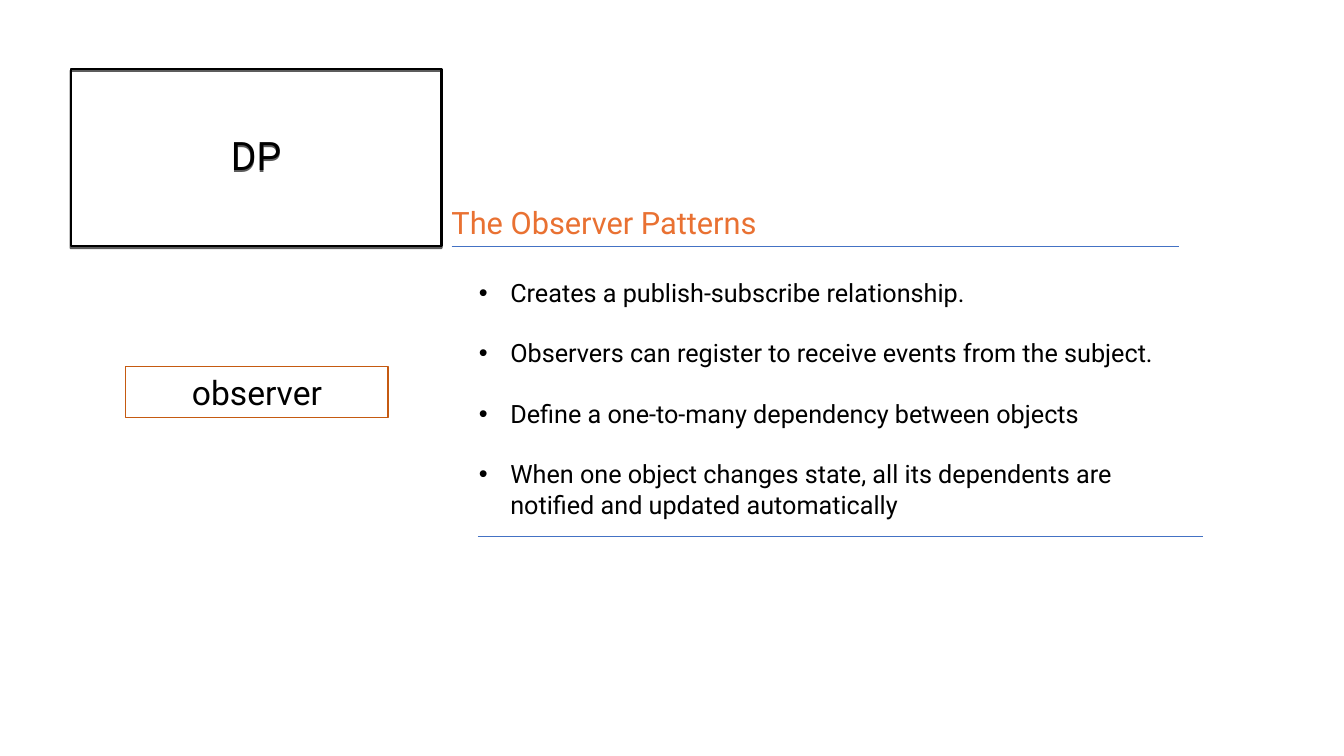
from collections import namedtuple
from dataclasses import dataclass

from lxml import etree
from pptx import Presentation
from pptx import util as u
from pptx.dml import color
from pptx.enum import shapes, text
from pptx.oxml import ns

Box = namedtuple("Box", "left top width height")


@dataclass(frozen=True)
class Theme:
    """Colours, font and type sizes of the deck."""
    font: str = "Roboto"
    ink: str = "000000"
    accent: str = "E97132"
    frame: str = "C55A11"
    rule: str = "4472C4"
    title_size: float = 28
    label_size: float = 24
    heading_size: float = 22
    body_size: float = 18


THEME = Theme()
POINTS = (
    "Creates a publish-subscribe relationship.",
    "Observers can register to receive events from the subject.",
    "Define a one-to-many dependency between objects",
    "When one object changes state, all its dependents are notified and updated automatically",
)


def rgb(value):
    """Turn a hex string into a colour."""
    return color.RGBColor.from_string(value)


def place(shape, box):
    """Move and size a shape to a box in points."""
    shape.left, shape.top, shape.width, shape.height = map(u.Pt, box)


def outline(shape, line_color, weight):
    """Give a shape an unfilled outline without a shadow."""
    shape.fill.background()
    shape.line.color.rgb = rgb(line_color)
    shape.line.width = u.Pt(weight)
    shape.shadow.inherit = False


def prepare(frame, anchor=text.MSO_ANCHOR.TOP):
    """Set wrapping, fitting and anchoring of a text frame."""
    frame.word_wrap = True
    frame.auto_size = text.MSO_AUTO_SIZE.NONE
    frame.vertical_anchor = anchor


def write(para, words, size, ink=THEME.ink, align=text.PP_ALIGN.LEFT):
    """Add one formatted run to a paragraph."""
    para.alignment = align
    span = para.add_run()
    span.text = words
    span.font.name = THEME.font
    span.font.size = u.Pt(size)
    span.font.color.rgb = rgb(ink)


def add_rule(page, left, top, length):
    """Draw a thin horizontal rule."""
    rule = page.shapes.add_connector(
        shapes.MSO_CONNECTOR.STRAIGHT, u.Pt(left), u.Pt(top), u.Pt(left + length), u.Pt(top))
    rule.line.color.rgb = rgb(THEME.rule)
    rule.line.width = u.Pt(0.5)
    etree.SubElement(rule._element.spPr, ns.qn("a:effectLst"))


def fill_title(page, box):
    """Frame the title and drop a hard shadow below it."""
    title = page.shapes.title
    place(title, box)
    outline(title, THEME.ink, 1.5)
    effects = title._element.spPr.find(ns.qn("a:effectLst"))
    drop = etree.SubElement(effects, ns.qn("a:outerShdw"), blurRad="0",
                            dist=str(u.Pt(1.5)), dir="5400000", algn="ctr", rotWithShape="0")
    tint = etree.SubElement(drop, ns.qn("a:srgbClr"), val=THEME.ink)
    etree.SubElement(tint, ns.qn("a:alpha"), val="63000")
    prepare(title.text_frame, text.MSO_ANCHOR.MIDDLE)
    para = title.text_frame.paragraphs[0]
    para.line_spacing = 0.9
    write(para, "DP", THEME.title_size, align=text.PP_ALIGN.CENTER)


def add_heading(page, box):
    """Add the pattern heading with a rule along its foot."""
    heading = page.shapes.add_textbox(*map(u.Pt, box))
    prepare(heading.text_frame)
    write(heading.text_frame.paragraphs[0], "The Observer Patterns",
          THEME.heading_size, THEME.accent)
    add_rule(page, box.left + 7.2, box.top + box.height, 519.8)


def add_label(page, box):
    """Add the framed pattern name."""
    label = page.shapes.add_shape(shapes.MSO_SHAPE.RECTANGLE, *map(u.Pt, box))
    outline(label, THEME.frame, 0.75)
    prepare(label.text_frame)
    write(label.text_frame.paragraphs[0], "observer", THEME.label_size,
          align=text.PP_ALIGN.CENTER)


def fill_points(page, box):
    """Fill the body with bullets and close it with a rule."""
    body = page.placeholders[1]
    place(body, box)
    frame = body.text_frame
    prepare(frame)
    for index, words in enumerate(POINTS):
        para = frame.add_paragraph() if index else frame.paragraphs[0]
        props = para._p.get_or_add_pPr()
        props.set("marL", str(u.Pt(22.5)))
        props.set("indent", str(u.Pt(-22.5)))
        etree.SubElement(props, ns.qn("a:buFont"), typeface="Arial")
        etree.SubElement(props, ns.qn("a:buChar"), char="•")
        para.line_spacing = 1.0
        para.space_before = u.Pt(21.6 if index else 0)
        write(para, words, THEME.body_size)
    add_rule(page, box.left + 6.5, box.top + box.height + 7.2, 517.7)


def main():
    """Build the slide and save it."""
    deck = Presentation()
    deck.slide_width, deck.slide_height = u.Pt(960), u.Pt(540)
    page = deck.slides.add_slide(deck.slide_layouts[1])
    fill_title(page, Box(50.4, 49, 265, 126.7))
    add_heading(page, Box(315.4, 141.8, 480.2, 33.9))
    add_label(page, Box(90, 262, 187.2, 36))
    fill_points(page, Box(334.8, 194.4, 501.1, 181.4))
    deck.save("out.pptx")


if __name__ == "__main__":
    main()
